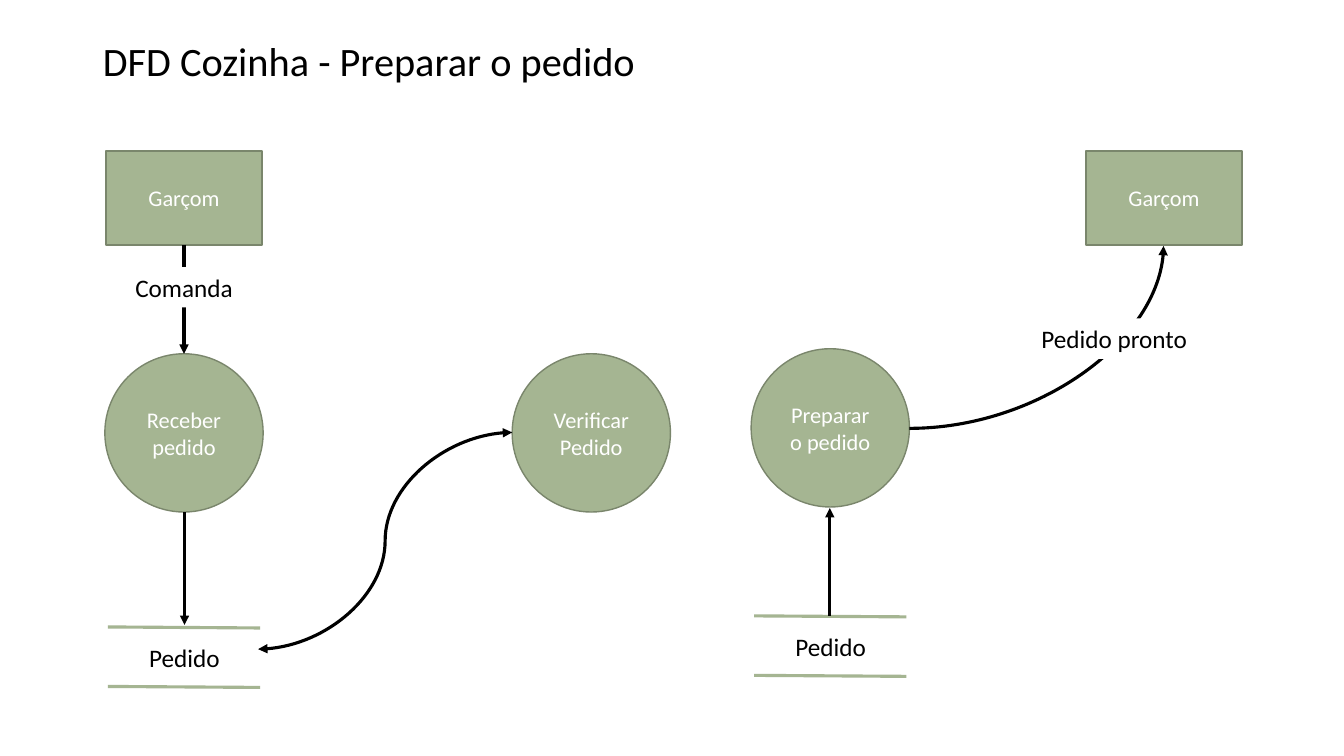
from dataclasses import dataclass

import lxml.etree
import pptx
import pptx.dml.color
import pptx.enum.shapes
import pptx.enum.text
import pptx.oxml.ns
import pptx.util
from pptx.util import Inches

COLORS = {"fill": "A5B592", "outline": "7A866C", "black": "000000", "white": "FFFFFF"}
FONT = "Calibri"
RECTANGLE = pptx.enum.shapes.MSO_SHAPE.RECTANGLE
OVAL = pptx.enum.shapes.MSO_SHAPE.OVAL
STRAIGHT = pptx.enum.shapes.MSO_CONNECTOR.STRAIGHT
CURVE = pptx.enum.shapes.MSO_CONNECTOR.CURVE
LEFT = pptx.enum.text.PP_ALIGN.LEFT
CENTER = pptx.enum.text.PP_ALIGN.CENTER
MIDDLE = pptx.enum.text.MSO_ANCHOR.MIDDLE
TOP = pptx.enum.text.MSO_ANCHOR.TOP
GROW = pptx.enum.text.MSO_AUTO_SIZE.SHAPE_TO_FIT_TEXT


@dataclass
class Node:
    text: str
    kind: int
    left: float
    top: float
    width: float
    height: float


@dataclass
class Store:
    text: str
    left: float
    top: float


@dataclass
class Flow:
    begin: tuple[float, float]
    end: tuple[float, float]
    kind: int = STRAIGHT
    preset: str = ""
    both_ways: bool = False
    source: str = ""
    target: str = ""


@dataclass
class Label:
    text: str
    left: float
    top: float
    width: float
    align: int


NODES = {
    "waiter_in": Node("Garçom", RECTANGLE, 1.05, 1.5, 1.55, 0.93),
    "waiter_out": Node("Garçom", RECTANGLE, 10.77, 1.5, 1.55, 0.93),
    "receive": Node("Receber pedido", OVAL, 1.04, 3.51, 1.57, 1.57),
    "check": Node("Verificar Pedido", OVAL, 5.08, 3.51, 1.57, 1.57),
    "prepare": Node("Preparar o pedido", OVAL, 7.45, 3.46, 1.57, 1.57),
}
STORES = [Store("Pedido", 1.07, 6.22), Store("Pedido", 7.48, 6.11)]
FLOWS = [
    Flow((9.02, 4.25), (11.54, 2.44), CURVE, preset="curvedConnector2"),
    Flow((1.83, 2.43), (1.83, 3.51), source="waiter_in", target="receive"),
    Flow((1.83, 5.08), (1.83, 6.2)),
    Flow((2.56, 6.44), (5.08, 4.29), CURVE, both_ways=True),
    Flow((8.23, 6.11), (8.23, 5.04)),
]
LABELS = [
    Label("Pedido pronto", 10.23, 3.16, 1.66, LEFT),
    Label("Comanda", 1.23, 2.65, 1.19, CENTER),
]


def rgb(name: str) -> pptx.dml.color.RGBColor:
    return pptx.dml.color.RGBColor.from_string(COLORS[name])


def write(shape, text: str, size: float, color: str, align: int, anchor: int) -> None:
    frame = shape.text_frame
    frame.vertical_anchor = anchor
    paragraph = frame.paragraphs[0]
    paragraph.alignment = align
    run = paragraph.add_run()
    run.text = text
    run.font.name = FONT
    run.font.size = pptx.util.Pt(size)
    run.font.color.rgb = rgb(color)


def draw_line(shapes, kind: int, begin: tuple[float, float], end: tuple[float, float], color: str):
    line = shapes.add_connector(kind, *(Inches(value) for value in begin + end))
    line.line.color.rgb = rgb(color)
    line.line.width = pptx.util.Pt(2.25)
    lxml.etree.SubElement(line._element.spPr, pptx.oxml.ns.qn("a:effectLst"))
    return line


def draw_title(slide) -> None:
    title = slide.shapes.title
    title.left, title.top = Inches(0.92), Inches(0.4)
    title.width, title.height = Inches(11.5), Inches(0.46)
    write(title, "DFD Cozinha - Preparar o pedido", 28.8, "black", LEFT, MIDDLE)
    title.text_frame.auto_size = pptx.enum.text.MSO_AUTO_SIZE.NONE
    title.text_frame.paragraphs[0].line_spacing = 0.9


def draw_node(shapes, node: Node):
    box = (Inches(value) for value in (node.left, node.top, node.width, node.height))
    shape = shapes.add_shape(node.kind, *box)
    shape.shadow.inherit = False
    shape.fill.solid()
    shape.fill.fore_color.rgb = rgb("fill")
    shape.line.color.rgb = rgb("outline")
    shape.line.width = pptx.util.Pt(1)
    write(shape, node.text, 16, "white", CENTER, MIDDLE)
    return shape


def draw_store(shapes, store: Store) -> None:
    group = shapes.add_group_shape()
    for top in (store.top + 0.59, store.top):
        begin, end = (store.left, top), (store.left + 1.51, top + 0.01)
        draw_line(group.shapes, STRAIGHT, begin, end, "fill")
    label = group.shapes.add_textbox(
        Inches(store.left + 0.31), Inches(store.top + 0.1), Inches(0.91), Inches(0.4)
    )
    write(label, store.text, 18, "black", LEFT, TOP)
    label.text_frame.word_wrap = False
    label.text_frame.auto_size = GROW


def draw_flow(shapes, flow: Flow, nodes: dict) -> None:
    line = draw_line(shapes, flow.kind, flow.begin, flow.end, "black")
    if flow.source:
        line.begin_connect(nodes[flow.source], 2)
    if flow.target:
        line.end_connect(nodes[flow.target], 0)
    properties = line._element.spPr
    if flow.preset:
        properties.find(pptx.oxml.ns.qn("a:prstGeom")).set("prst", flow.preset)
    outline = properties.find(pptx.oxml.ns.qn("a:ln"))
    for tag in ("a:headEnd", "a:tailEnd") if flow.both_ways else ("a:tailEnd",):
        lxml.etree.SubElement(outline, pptx.oxml.ns.qn(tag), type="triangle")


def draw_label(shapes, label: Label) -> None:
    shape = shapes.add_shape(
        RECTANGLE, Inches(label.left), Inches(label.top), Inches(label.width), Inches(0.4)
    )
    shape.shadow.inherit = False
    shape.fill.solid()
    shape.fill.fore_color.rgb = rgb("white")
    shape.line.fill.background()
    write(shape, label.text, 18, "black", label.align, TOP)
    shape.text_frame.word_wrap = True
    shape.text_frame.auto_size = GROW


def main() -> None:
    presentation = pptx.Presentation()
    presentation.slide_width = Inches(13.33)
    presentation.slide_height = Inches(7.5)
    slide = presentation.slides.add_slide(presentation.slide_layouts[5])
    draw_title(slide)
    nodes = {name: draw_node(slide.shapes, node) for name, node in NODES.items()}
    for store in STORES:
        draw_store(slide.shapes, store)
    for flow in FLOWS:
        draw_flow(slide.shapes, flow, nodes)
    for label in LABELS:
        draw_label(slide.shapes, label)
    presentation.save("out.pptx")


if __name__ == "__main__":
    main()
